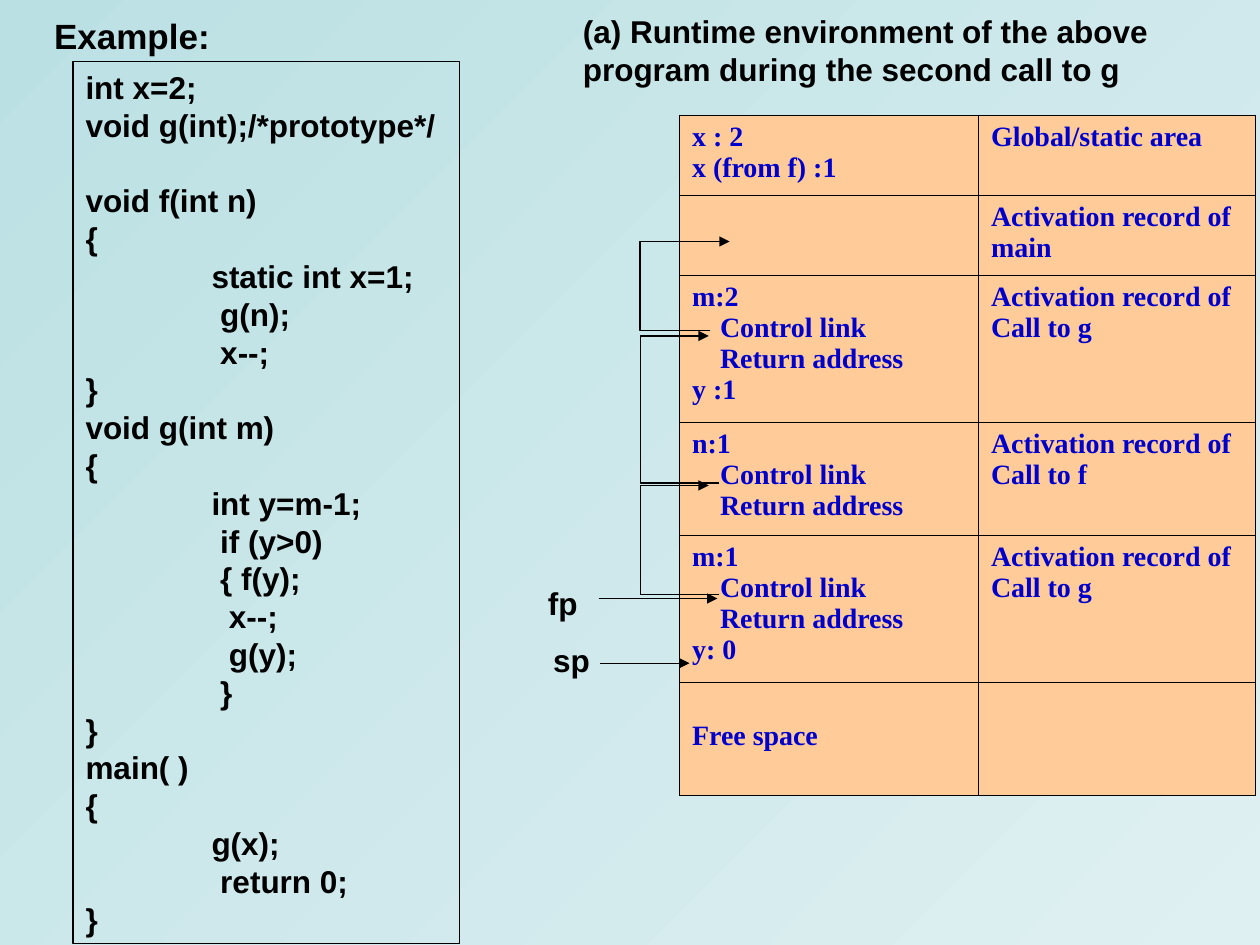
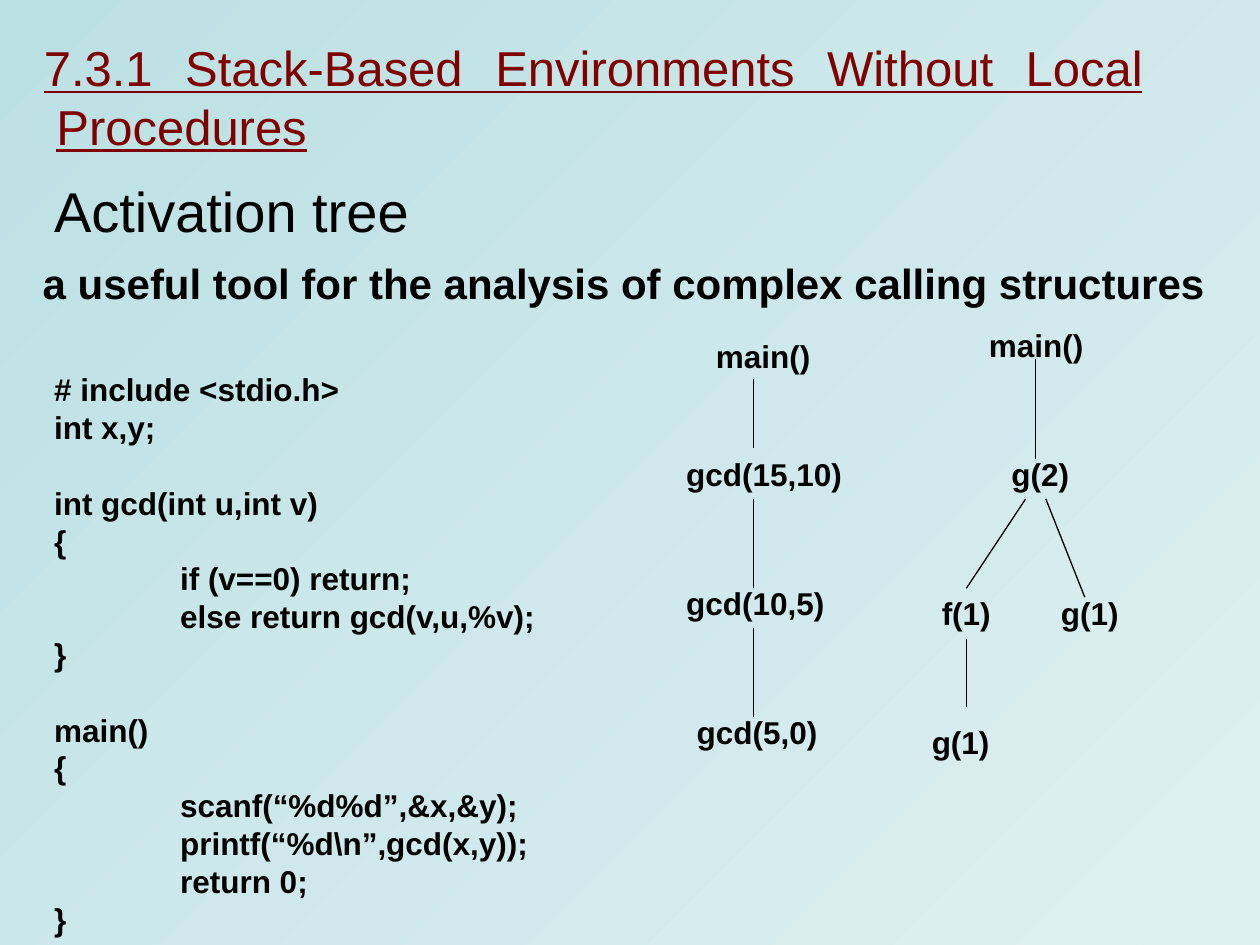
from dataclasses import dataclass

from lxml.etree import SubElement
from pptx import Presentation
from pptx.dml.color import RGBColor
from pptx.enum.shapes import MSO_CONNECTOR, MSO_SHAPE
from pptx.enum.text import MSO_ANCHOR, PP_ALIGN
from pptx.oxml import parse_xml
from pptx.oxml.ns import nsdecls, qn
from pptx.util import Pt


@dataclass(frozen=True)
class Theme:
    background: tuple = ("BBE0E3", "DFF0F2")
    ink: str = "000000"
    heading_ink: str = "800000"
    cell_ink: str = "0000CC"
    cell_fill: str = "FFCC99"
    font: str = "Arial"
    cell_font: str = "Times New Roman"
    topic_size: int = 32
    heading_size: int = 28
    lead_size: int = 24
    example_size: int = 20
    body_size: int = 18
    cell_size: int = 16
    line_width: float = 0.75
    border_width: float = 0.45
    code_pitch: float = 21.6
    tab_stop: int = 72
    label_height: float = 28.8


TOP, BOTTOM = 0, 2

STACK_CODE = """int x=2;
void g(int);/*prototype*/

void f(int n)
{
\tstatic int x=1;
\t g(n);
\t x--;
}
void g(int m)
{
\tint y=m-1;
\t if (y>0)
\t { f(y);
\t  x--;
\t  g(y);
\t }
}
main( )
{
\tg(x);
\t return 0;
}"""

GCD_CODE = """# include <stdio.h>
int x,y;

int gcd(int u,int v)
{
\tif (v==0) return;
\telse return gcd(v,u,%v);
}

main()
{
\tscanf(“%d%d”,&x,&y);
\tprintf(“%d\\n”,gcd(x,y));
\treturn 0;
}"""

LINK_FIELDS = ("Control link", "Return address")
RECORD = "Activation record of"
MEMORY_ROWS = [
    (45.7, ("x : 2", "x (from f) :1"), ("Global/static area",)),
    (45.7, (), (RECORD, "main")),
    (84, ("m:2", *LINK_FIELDS, "y :1"), (RECORD, "Call to g")),
    (64.6, ("n:1", *LINK_FIELDS), (RECORD, "Call to f")),
    (84, ("m:1", *LINK_FIELDS, "y: 0"), (RECORD, "Call to g")),
    (64.6, ("Free space",), ()),
]


def color(value):
    return RGBColor.from_string(value)


class SlideBuilder:
    def __init__(self, deck, theme):
        self.deck = deck
        self.theme = theme
        self.page = None
        fill = deck.slide_master.background.fill
        fill.gradient()
        fill.gradient_angle = 315
        for stop, value in zip(fill.gradient_stops, theme.background):
            stop.color.rgb = color(value)

    def new_page(self):
        self.page = self.deck.slides.add_slide(self.deck.slide_layouts[6])

    def add_span(self, para, text, size, ink=None, font=None, bold=True, underline=None):
        span = para.add_run()
        span.text = text
        span.font.name = font or self.theme.font
        span.font.size = Pt(size)
        span.font.bold = bold
        span.font.underline = underline
        span.font.color.rgb = color(ink or self.theme.ink)

    def text(self, text, left, top, width, height, size, align=PP_ALIGN.LEFT, **style):
        box = self.page.shapes.add_textbox(Pt(left), Pt(top), Pt(width), Pt(height))
        box.text_frame.word_wrap = True
        para = box.text_frame.paragraphs[0]
        para.alignment = align
        self.add_span(para, text, size, **style)
        return box

    def label(self, text, left, top, width, align=PP_ALIGN.LEFT):
        return self.text(text, left, top, width, self.theme.label_height,
                         self.theme.body_size, align)

    def outline(self, line):
        line.color.rgb = color(self.theme.ink)
        line.width = Pt(self.theme.line_width)

    def code(self, source, left, top, width, height, framed=False):
        """Add a listing; an empty source line becomes space before the next one."""
        box = self.page.shapes.add_shape(
            MSO_SHAPE.RECTANGLE, Pt(left), Pt(top), Pt(width), Pt(height))
        box.shadow.inherit = False
        box.fill.background()
        if framed:
            self.outline(box.line)
        else:
            box.line.fill.background()
        frame = box.text_frame
        frame.word_wrap = True
        frame.vertical_anchor = MSO_ANCHOR.TOP
        para, gap = frame.paragraphs[0], 0
        for number, text in enumerate(source.split("\n")):
            if not text:
                gap = self.theme.code_pitch
                continue
            if number:
                para = frame.add_paragraph()
            tabs = SubElement(para._p.get_or_add_pPr(), qn("a:tabLst"))
            SubElement(tabs, qn("a:tab"), pos=str(Pt(self.theme.tab_stop)), algn="l")
            para.alignment = PP_ALIGN.LEFT
            if gap:
                para.space_before = Pt(gap)
                gap = 0
            self.add_span(para, text, self.theme.body_size)

    def add_arrowhead(self, line):
        SubElement(line._get_or_add_ln(), qn("a:tailEnd"), type="triangle")

    def line(self, start, end, arrow=False):
        connector = self.page.shapes.add_connector(
            MSO_CONNECTOR.STRAIGHT, *(Pt(value) for value in (*start, *end)))
        self.outline(connector.line)
        SubElement(connector._element.spPr, qn("a:effectLst"))
        if arrow:
            self.add_arrowhead(connector.line)
        return connector

    def bent_arrow(self, points):
        first, *rest = [(Pt(x), Pt(y)) for x, y in points]
        builder = self.page.shapes.build_freeform(*first)
        builder.add_line_segments(rest, close=False)
        link = builder.convert_to_shape()
        link.shadow.inherit = False
        link.fill.background()
        self.outline(link.line)
        self.add_arrowhead(link.line)

    def border(self, cell):
        properties = cell._tc.get_or_add_tcPr()
        for index, side in enumerate(("lnL", "lnR", "lnT", "lnB")):
            properties.insert(index, parse_xml(
                f'<a:{side} {nsdecls("a")} w="{Pt(self.theme.border_width)}"><a:solidFill>'
                f'<a:srgbClr val="{self.theme.ink}"/></a:solidFill></a:{side}>'))

    def fill_cell(self, cell, lines):
        cell.fill.solid()
        cell.fill.fore_color.rgb = color(self.theme.cell_fill)
        self.border(cell)
        frame = cell.text_frame
        for number, text in enumerate(lines):
            para = frame.add_paragraph() if number else frame.paragraphs[0]
            if text in LINK_FIELDS:
                para._p.get_or_add_pPr().set("marL", str(Pt(16)))
            self.add_span(para, text, self.theme.cell_size,
                          self.theme.cell_ink, self.theme.cell_font)

    def table(self, rows, left, top, widths):
        height = sum(row[0] for row in rows)
        table = self.page.shapes.add_table(
            len(rows), len(widths), Pt(left), Pt(top), Pt(sum(widths)), Pt(height)).table
        table.first_row = table.horz_banding = False
        for column, width in zip(table.columns, widths):
            column.width = Pt(width)
        for row, (row_height, *contents) in zip(table.rows, rows):
            row.height = Pt(row_height)
            for cell, lines in zip(row.cells, contents):
                self.fill_cell(cell, lines)
        return table


def build_runtime_page(builder):
    theme = builder.theme
    builder.new_page()
    builder.text("Example:", 23.8, 5, 340, 32, theme.example_size)
    builder.code(STACK_CODE, 41.8, 35.3, 221, 504, framed=True)
    builder.text("(a) Runtime environment of the above program during the second call to g",
                 326, 3.6, 391, 50.4, theme.body_size)
    memory = builder.table(MEMORY_ROWS, 388.3, 65.7, (170.9, 158.1))
    free_space = memory.cell(len(MEMORY_ROWS) - 1, 0)
    free_space.margin_top = Pt(21.6)

    spine = 365.8
    control_links = [
        ((406, 189), (417, 138)),
        ((411, 276), (405, 192)),
        ((411, 339.8), (405, 277.4)),
    ]
    for (start_x, start_y), (end_x, end_y) in control_links:
        builder.bent_arrow([(start_x, start_y), (spine, start_y),
                            (spine, end_y), (end_x, end_y)])
    for name, left, top, start_x, end_x, y in (
            ("fp", 306, 330, 342, 410, 342), ("sp", 309, 363, 343, 394, 379)):
        builder.line((start_x, y), (end_x, y), arrow=True)
        builder.label(name, left, top, 40)


def build_gcd_tree(builder):
    for text, left, top in (("main()", 402, 188.9), ("gcd(15,10)", 385, 256.6),
                            ("gcd(10,5)", 385, 330.4), ("gcd(5,0)", 391, 404)):
        builder.label(text, left, top, 118)
    for start_y, end_y in ((216.7, 256.3), (285.1, 336.2), (358.6, 409.7)):
        builder.line((430.6, start_y), (430.6, end_y))


def build_call_tree(builder):
    builder.label("main()", 558, 182.9, 79)
    builder.label("g(2)", 535, 256.5, 118.8, PP_ALIGN.CENTER)
    f_call, _, _ = [
        builder.label(text, center - 29, top, 58, PP_ALIGN.CENTER)
        for text, center, top in (("f(1)", 552.2, 336.2), ("g(1)", 622.8, 336.2),
                                  ("g(1)", 549, 409.9))]
    builder.line((591.8, 205.2), (591.8, 262.1))
    builder.line((586.1, 285.1), (552.2, 336.2)).end_connect(f_call, TOP)
    builder.line((597.6, 285.1), (619.9, 341.3))
    builder.line((552.2, 365), (552.2, 404)).begin_connect(f_call, BOTTOM)


def build_activation_page(builder):
    theme = builder.theme
    builder.new_page()
    heading = builder.text(
        "7.3.1 Stack-Based Environments Without Local Procedures", 18, 18, 642, 75,
        theme.heading_size, PP_ALIGN.JUSTIFY, ink=theme.heading_ink,
        bold=False, underline=True)
    indents = heading.text_frame.paragraphs[0]._p.get_or_add_pPr()
    indents.set("marL", str(Pt(7.2)))
    indents.set("indent", str(Pt(-7.2)))
    topic = builder.text("Activation tree", 23.8, 95.8, 288, 48, theme.topic_size, bold=False)
    topic.text_frame.vertical_anchor = MSO_ANCHOR.MIDDLE
    builder.text("a useful tool for the analysis of complex calling structures",
                 17.3, 143.5, 702, 36, theme.lead_size)
    builder.code(GCD_CODE, 23.8, 208.1, 290, 331)
    build_gcd_tree(builder)
    build_call_tree(builder)


def main():
    deck = Presentation()
    deck.slide_width, deck.slide_height = Pt(720), Pt(540)
    builder = SlideBuilder(deck, Theme())
    build_runtime_page(builder)
    build_activation_page(builder)
    deck.save("out.pptx")


if __name__ == "__main__":
    main()
